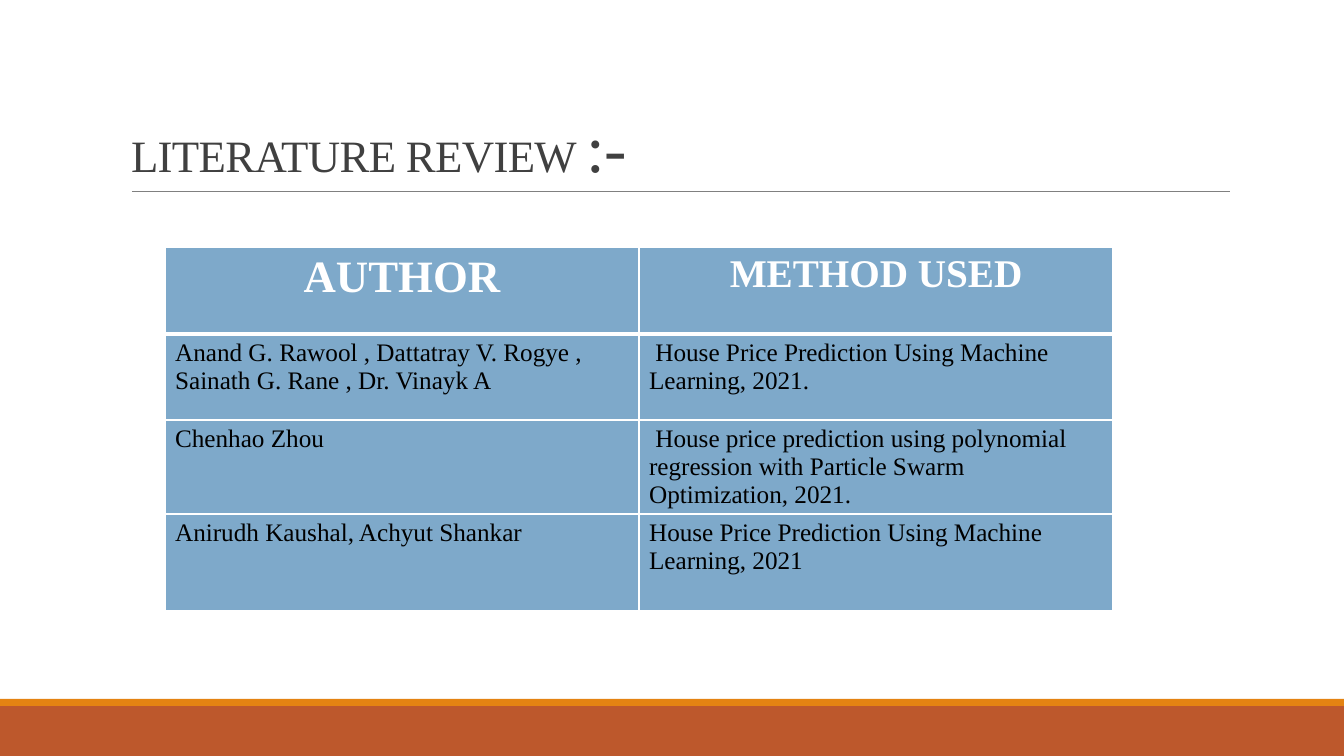
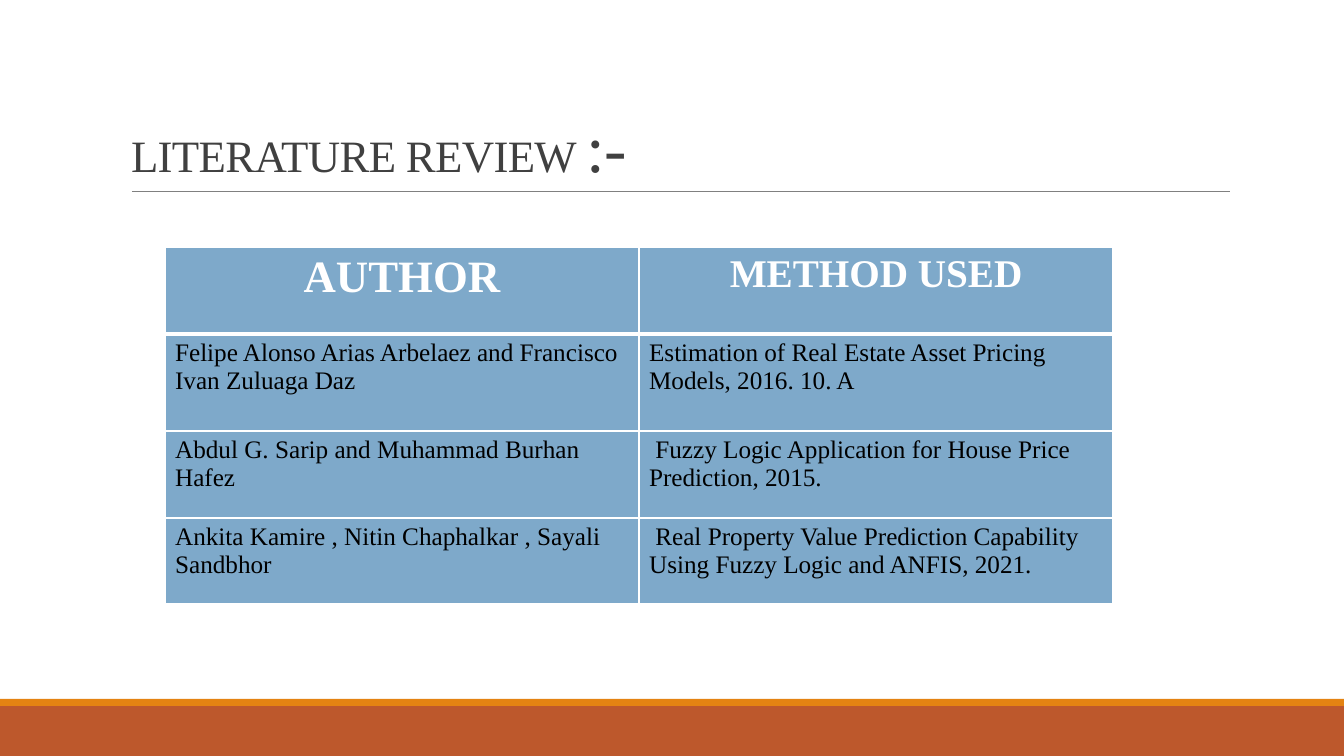
from lxml import etree
from pptx import Presentation
from pptx.dml.color import RGBColor
from pptx.enum.shapes import MSO_CONNECTOR, MSO_SHAPE
from pptx.enum.text import MSO_ANCHOR, MSO_AUTO_SIZE, PP_ALIGN
from pptx.oxml.ns import qn
from pptx.util import Emu, Pt

RECT = MSO_SHAPE.RECTANGLE
STRAIGHT = MSO_CONNECTOR.STRAIGHT
LEFT, CENTER = PP_ALIGN.LEFT, PP_ALIGN.CENTER
EMU_PER_PX = 914400 / 100.8
FONT = "Times New Roman"
COLORS = {
    name: RGBColor.from_string(value)
    for name, value in {
        "rust": "BD582C", "orange": "E48312", "rule": "808080", "title": "404040",
        "cell": "7EA9CA", "white": "FFFFFF", "black": "000000",
    }.items()
}
SLIDE_W, SLIDE_H = 1344, 756
BANDS = [(706, 50, "rust"), (699, 7, "orange")]
TITLE_RUNS = [("LITERATURE REVIEW ", 32), (":-", 48)]
HEADER = ("AUTHOR", "METHOD USED")
HEADER_SIZES = (32, 28)
COL_W = 474
REVIEWS = [
    ([87, 86, 94, 97], [
        ("Anand G. Rawool , Dattatray V. Rogye , Sainath G. Rane , Dr. Vinayk A",
         " House Price Prediction Using Machine Learning, 2021."),
        ("Chenhao Zhou",
         " House price prediction using polynomial regression with Particle Swarm "
         "Optimization, 2021."),
        ("Anirudh Kaushal, Achyut Shankar",
         "House Price Prediction Using Machine Learning, 2021"),
    ]),
    ([87, 97, 87, 86], [
        ("Felipe Alonso Arias Arbelaez and Francisco Ivan Zuluaga Daz",
         "Estimation of Real Estate Asset Pricing Models, 2016. 10. A"),
        ("Abdul G. Sarip and Muhammad Burhan Hafez",
         " Fuzzy Logic Application for House Price Prediction, 2015."),
        ("Ankita Kamire , Nitin Chaphalkar , Sayali Sandbhor",
         " Real Property Value Prediction Capability Using Fuzzy Logic and ANFIS, 2021."),
    ]),
]


def px(n):
    return Emu(round(n * EMU_PER_PX))


def set_borders(cell, row):
    """Draw white cell borders, with a thick one under the header row."""
    tcPr = cell._tc.get_or_add_tcPr()
    widths = {"lnL": 1, "lnR": 1, "lnT": 3 if row == 1 else 1, "lnB": 3 if row == 0 else 1}
    for side, width in widths.items():
        ln = etree.SubElement(tcPr, qn(f"a:{side}"), w=str(Pt(width)))
        fill = etree.SubElement(ln, qn("a:solidFill"))
        etree.SubElement(fill, qn("a:srgbClr"), val=str(COLORS["white"]))


prs = Presentation()
prs.slide_width, prs.slide_height = px(SLIDE_W), px(SLIDE_H)

for heights, reviews in REVIEWS:
    s = prs.slides.add_slide(prs.slide_layouts[5])

    for top, height, color in BANDS:
        sp = s.shapes.add_shape(RECT, 0, px(top), px(SLIDE_W), px(height))
        sp.shadow.inherit = False
        sp.fill.solid()
        sp.fill.fore_color.rgb = COLORS[color]
        sp.line.fill.background()

    rule = s.shapes.add_connector(STRAIGHT, px(132), px(191), px(1230), px(191))
    rule.line.color.rgb = COLORS["rule"]
    rule.line.width = Pt(0.5)
    etree.SubElement(rule._element.spPr, qn("a:effectLst"))

    title = s.shapes.title
    title.left, title.top, title.width, title.height = px(121), px(31), px(1109), px(160)
    tf = title.text_frame
    tf.word_wrap = True
    tf.auto_size = MSO_AUTO_SIZE.NONE
    tf.vertical_anchor = MSO_ANCHOR.BOTTOM
    p = tf.paragraphs[0]
    p.alignment = LEFT
    p.line_spacing = 0.85
    p.font.name = FONT
    p.font.color.rgb = COLORS["title"]
    for text, size in TITLE_RUNS:
        r = p.add_run()
        r.text = text
        r.font.size = Pt(size)
        r._r.get_or_add_rPr().set("spc", "-50")

    rows = [HEADER, *reviews]
    table = s.shapes.add_table(
        len(rows), len(HEADER), px(165), px(247), px(COL_W * len(HEADER)), px(sum(heights))
    ).table
    table.horz_banding = False
    for col in table.columns:
        col.width = px(COL_W)
    for i, texts in enumerate(rows):
        table.rows[i].height = px(heights[i])
        is_header = i == 0
        for j, text in enumerate(texts):
            cell = table.cell(i, j)
            set_borders(cell, i)
            cell.fill.solid()
            cell.fill.fore_color.rgb = COLORS["cell"]
            cell.text = text
            p = cell.text_frame.paragraphs[0]
            p.alignment = CENTER if is_header else LEFT
            p.font.name = FONT
            p.font.size = Pt(HEADER_SIZES[j] if is_header else 18)
            p.font.bold = is_header
            p.font.color.rgb = COLORS["white" if is_header else "black"]

prs.save("out.pptx")
